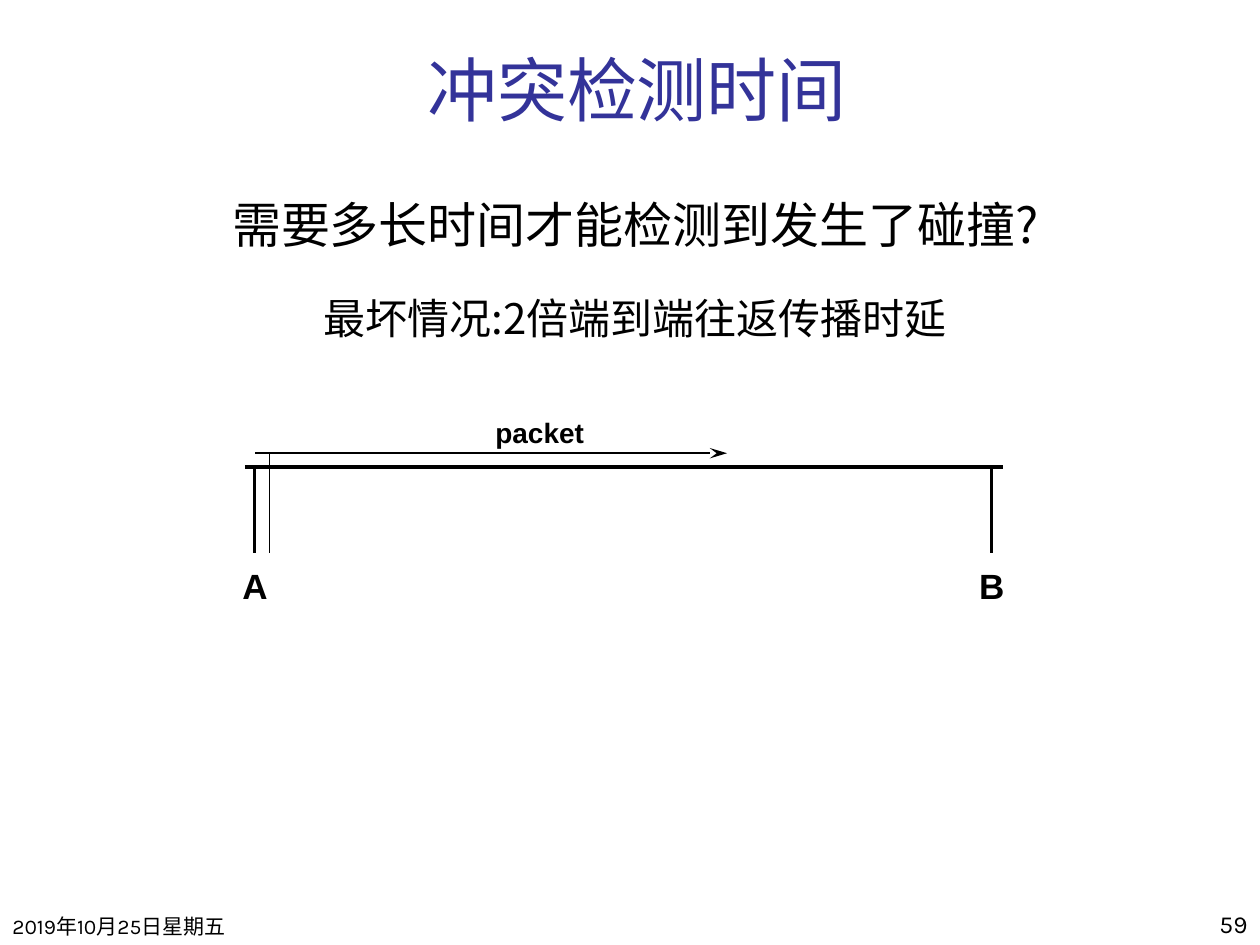
from pptx import Presentation
from pptx import util as u
from pptx.dml.color import RGBColor
from pptx.enum import shapes, text
from pptx.oxml.ns import qn
from lxml import etree

COLORS = {"ink": "000000", "title": "333399"}
ALIGN = text.PP_ALIGN
ANCHOR = text.MSO_ANCHOR


def style(p, size, font, color="ink", bold=False, align=ALIGN.LEFT):
    """Format a paragraph and its runs."""
    p.alignment = align
    for r in p.runs:
        r.font.size = u.Pt(size)
        r.font.name = font
        r.font.bold = bold
        r.font.color.rgb = RGBColor.from_string(COLORS[color])


def place(sp, box):
    """Move a shape to a box given in points."""
    sp.left, sp.top, sp.width, sp.height = map(u.Pt, box)


def add_label(s, box, words, size, font, bold=False, align=ALIGN.LEFT,
              anchor=ANCHOR.TOP, wrap=False):
    """Add a one-paragraph text box."""
    sp = s.shapes.add_textbox(*map(u.Pt, box))
    tf = sp.text_frame
    tf.word_wrap = wrap
    tf.vertical_anchor = anchor
    tf.text = words
    style(tf.paragraphs[0], size, font, bold=bold, align=align)


def add_line(s, x1, y1, x2, y2, width, arrow=False):
    """Add a straight line, with an optional arrowhead at its end."""
    sp = s.shapes.add_connector(shapes.MSO_CONNECTOR.STRAIGHT,
                                *map(u.Pt, (x1, y1, x2, y2)))
    sp.line.color.rgb = RGBColor.from_string(COLORS["ink"])
    sp.line.width = u.Pt(width)
    if arrow:
        ln = sp.line._get_or_add_ln()
        etree.SubElement(ln, qn("a:tailEnd"), type="stealth", w="med", len="lg")
    etree.SubElement(sp._element.spPr, qn("a:effectLst"))


def fill_title(s, box, words):
    """Fill the title placeholder."""
    sp = s.shapes.title
    place(sp, box)
    tf = sp.text_frame
    tf.auto_size = text.MSO_AUTO_SIZE.NONE
    tf.vertical_anchor = ANCHOR.BOTTOM
    tf.text = words
    style(tf.paragraphs[0], 40, "Karla", "title", align=ALIGN.CENTER)


def fill_body(s, box, lines):
    """Fill the body placeholder with centred lines of (words, size, space before)."""
    sp = s.placeholders[1]
    place(sp, box)
    tf = sp.text_frame
    tf.auto_size = text.MSO_AUTO_SIZE.NONE
    tf.text = "\n".join(words for words, _, _ in lines)
    for p, (_, size, before) in zip(tf.paragraphs, lines):
        pPr = p._p.get_or_add_pPr()
        pPr.set("marL", "0")
        pPr.set("indent", "0")
        etree.SubElement(pPr, qn("a:buNone"))
        p.line_spacing = 0.8
        p.space_before = u.Pt(before)
        style(p, size, "Noto Sans CJK SC", align=ALIGN.CENTER)


def draw_bus(s, box):
    """Draw the shared cable with stations A and B and the packet on its way."""
    x, y, w, h = box
    bus = y + 33
    add_line(s, x + 8, bus, x + w - 8, bus, 2)
    for name, drop in (("A", x + 13.5), ("B", x + w - 14.5)):
        add_line(s, drop, bus - 0.5, drop, y + h - 34, 2)
        add_label(s, (drop - 14, y + h - 31, 28.8, 31), name, 20, "Arial", bold=True)
    add_line(s, x + 22, y + h - 34, x + 22, bus - 8, 1)
    add_line(s, x + 14, bus - 8, x + 283.5, bus - 8, 1, arrow=True)
    add_label(s, (x + 144, y, 65.5, 26.6), "packet", 16, "Arial", bold=True)


def add_footer(s, box, date, number):
    """Put the date at the left and the slide number at the right."""
    x, y, w, h = box
    side = 150
    add_label(s, (x, y, side, h), date, 12, "Karla",
              anchor=ANCHOR.BOTTOM, wrap=True)
    add_label(s, (x + w - side, y, side, h), number, 14, "Karla",
              align=ALIGN.RIGHT, anchor=ANCHOR.BOTTOM, wrap=True)


def main():
    """Build and save the slide."""
    prs = Presentation()
    prs.slide_width, prs.slide_height = u.Pt(720), u.Pt(540)
    s = prs.slides.add_slide(prs.slide_layouts[1])
    add_footer(s, (0, 504, 720, 36), "2019年10月25日星期五", "59")
    fill_title(s, (60, 18, 608, 60), "冲突检测时间")
    fill_body(s, (30, 114, 666, 402), [
        ("需要多长时间才能检测到发生了碰撞?", 28, 0),
        ("最坏情况:2倍端到端往返传播时延", 24, 28),
    ])
    draw_bus(s, (132, 234, 449, 116))
    prs.save("out.pptx")


if __name__ == "__main__":
    main()
